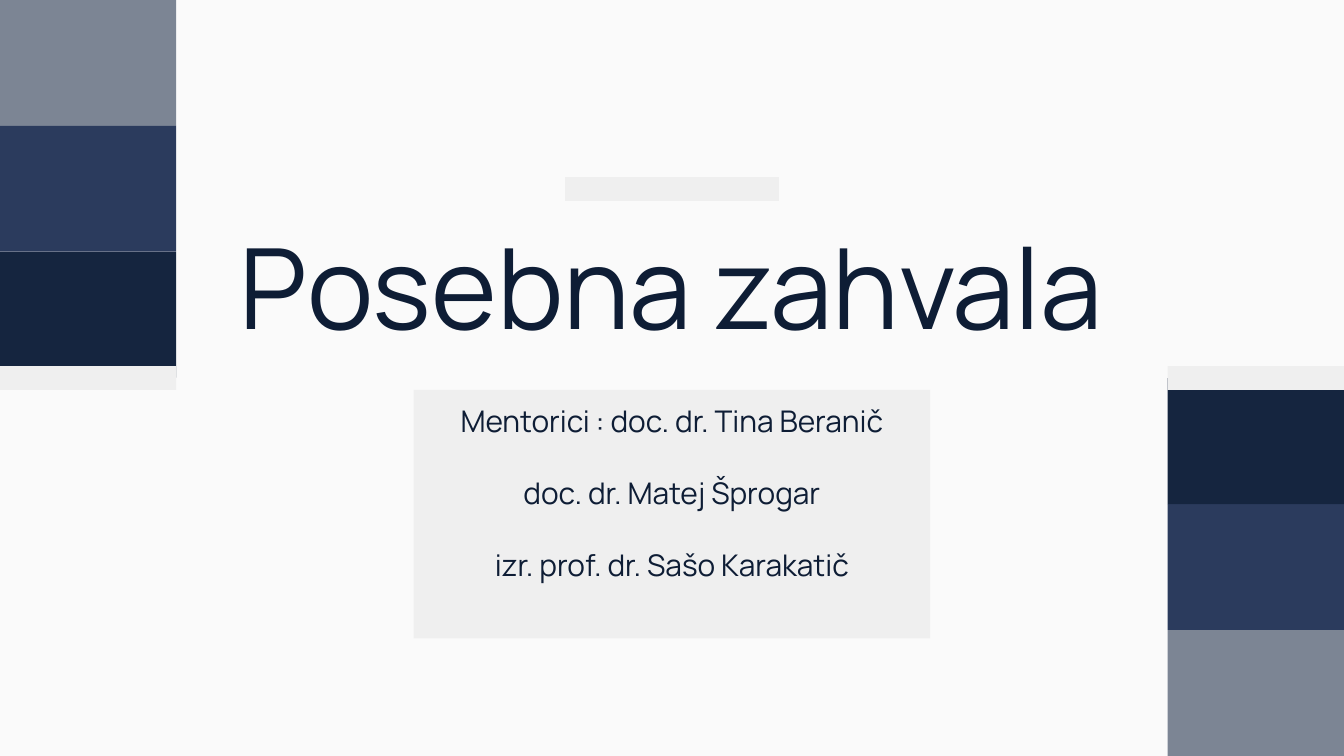
from dataclasses import dataclass

from pptx import Presentation
from pptx.dml.color import RGBColor
from pptx.enum.shapes import MSO_SHAPE
from pptx.enum.text import MSO_ANCHOR, PP_ALIGN
from pptx.util import Cm, Pt

SLIDE_WIDTH = 25.4
SLIDE_HEIGHT = 14.29


@dataclass(frozen=True)
class Theme:
    font: str = "Manrope"
    background: str = "FAFAFA"
    ink: str = "0E1D35"
    panel: str = "EFEFEF"
    grey: str = "7C8594"
    blue: str = "2B3B5D"
    navy: str = "15253F"
    title_size: int = 60
    body_size: int = 16
    paragraph_gap: float = 19.2


def write_text(shape, lines, *, theme, size, anchor, gap=0):
    frame = shape.text_frame
    frame.word_wrap = True
    frame.vertical_anchor = anchor
    frame.margin_left = frame.margin_right = Cm(0.25)
    frame.margin_top = frame.margin_bottom = Cm(0.25)
    for index, line in enumerate(lines):
        paragraph = frame.add_paragraph() if index else frame.paragraphs[0]
        paragraph.alignment = PP_ALIGN.CENTER
        paragraph.space_before = Pt(gap if index else 0)
        run = paragraph.add_run()
        run.text = line
        run.font.name = theme.font
        run.font.size = Pt(size)
        run.font.color.rgb = RGBColor.from_string(theme.ink)


class SlideBuilder:
    def __init__(self, slide, theme):
        self.slide = slide
        self.theme = theme
        fill = slide.background.fill
        fill.solid()
        fill.fore_color.rgb = RGBColor.from_string(theme.background)

    def title(self, text, left, top, width, height):
        shape = self.slide.shapes.add_textbox(Cm(left), Cm(top), Cm(width), Cm(height))
        write_text(shape, [text], theme=self.theme, size=self.theme.title_size,
                   anchor=MSO_ANCHOR.BOTTOM)

    def block(self, color, left, top, width, height):
        shape = self.slide.shapes.add_shape(
            MSO_SHAPE.RECTANGLE, Cm(left), Cm(top), Cm(width), Cm(height))
        shape.shadow.inherit = False
        shape.fill.solid()
        shape.fill.fore_color.rgb = RGBColor.from_string(color)
        shape.line.fill.background()
        return shape

    def panel(self, lines, left, top, width, height):
        shape = self.block(self.theme.panel, left, top, width, height)
        write_text(shape, lines, theme=self.theme, size=self.theme.body_size,
                   anchor=MSO_ANCHOR.TOP, gap=self.theme.paragraph_gap)

    def side_stack(self, mirrored=False):
        width, band, strip = 3.33, 2.38, 0.45
        colors = (self.theme.grey, self.theme.blue, self.theme.navy)
        bands = [(color, index * band, band) for index, color in enumerate(colors)]
        bands.append((self.theme.panel, 6.92, strip))
        left = SLIDE_WIDTH - width if mirrored else 0
        for color, offset, height in bands:
            top = SLIDE_HEIGHT - offset - height if mirrored else offset
            self.block(color, left, top, width, height)


def main():
    presentation = Presentation()
    presentation.slide_width = Cm(SLIDE_WIDTH)
    presentation.slide_height = Cm(SLIDE_HEIGHT)
    slide = presentation.slides.add_slide(presentation.slide_layouts[6])
    theme = Theme()
    builder = SlideBuilder(slide, theme)
    builder.title("Posebna zahvala", 3.68, 2.21, 18.03, 4.7)
    mentors = [
        "Mentorici : doc. dr. Tina Beranič",
        "doc. dr. Matej Šprogar",
        "izr. prof. dr. Sašo Karakatič",
    ]
    builder.panel(mentors, 7.82, 7.37, 9.76, 4.7)
    builder.block(theme.panel, 10.68, 3.35, 4.04, 0.45)
    builder.side_stack()
    builder.side_stack(mirrored=True)
    presentation.save("out.pptx")


if __name__ == "__main__":
    main()
